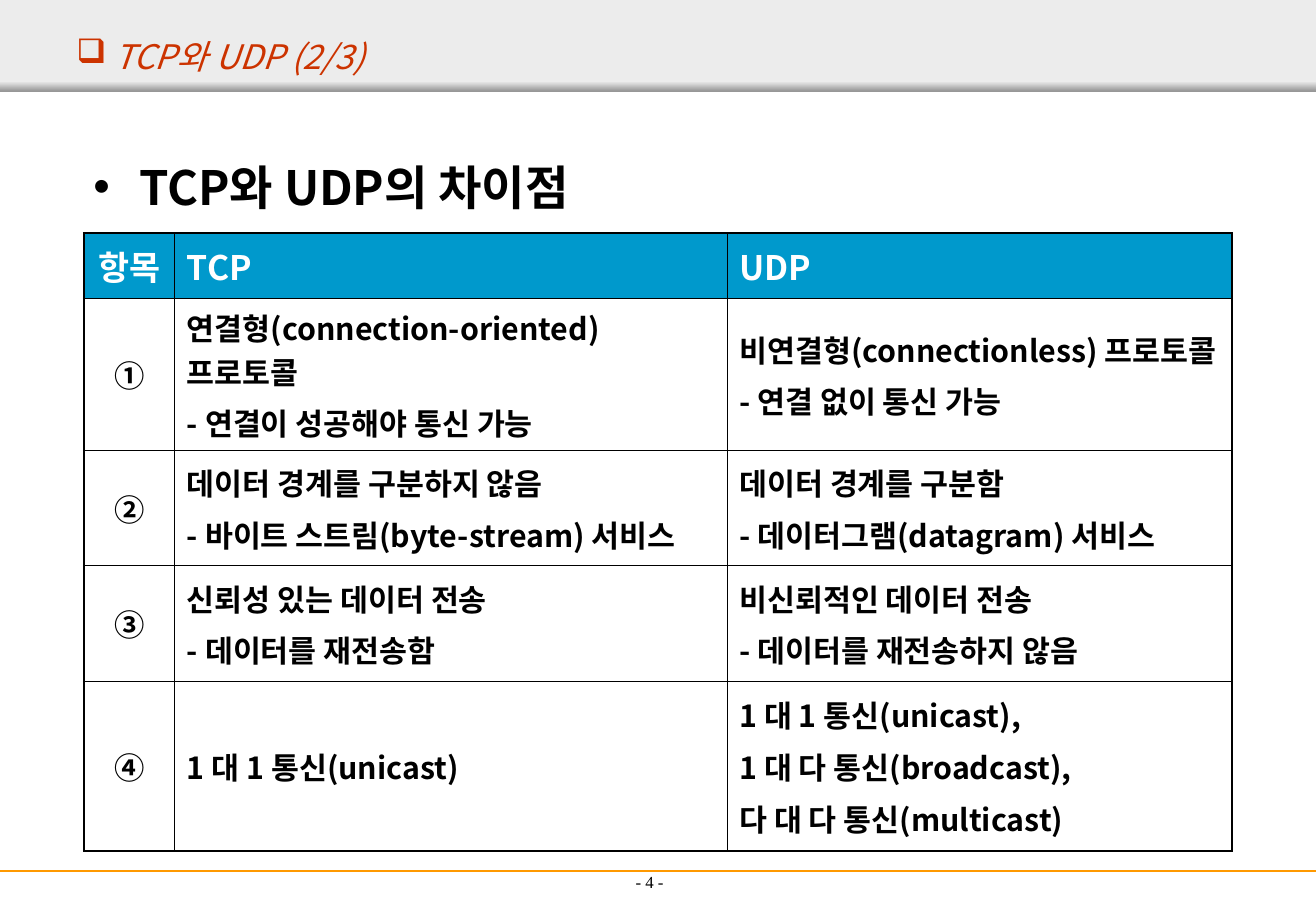
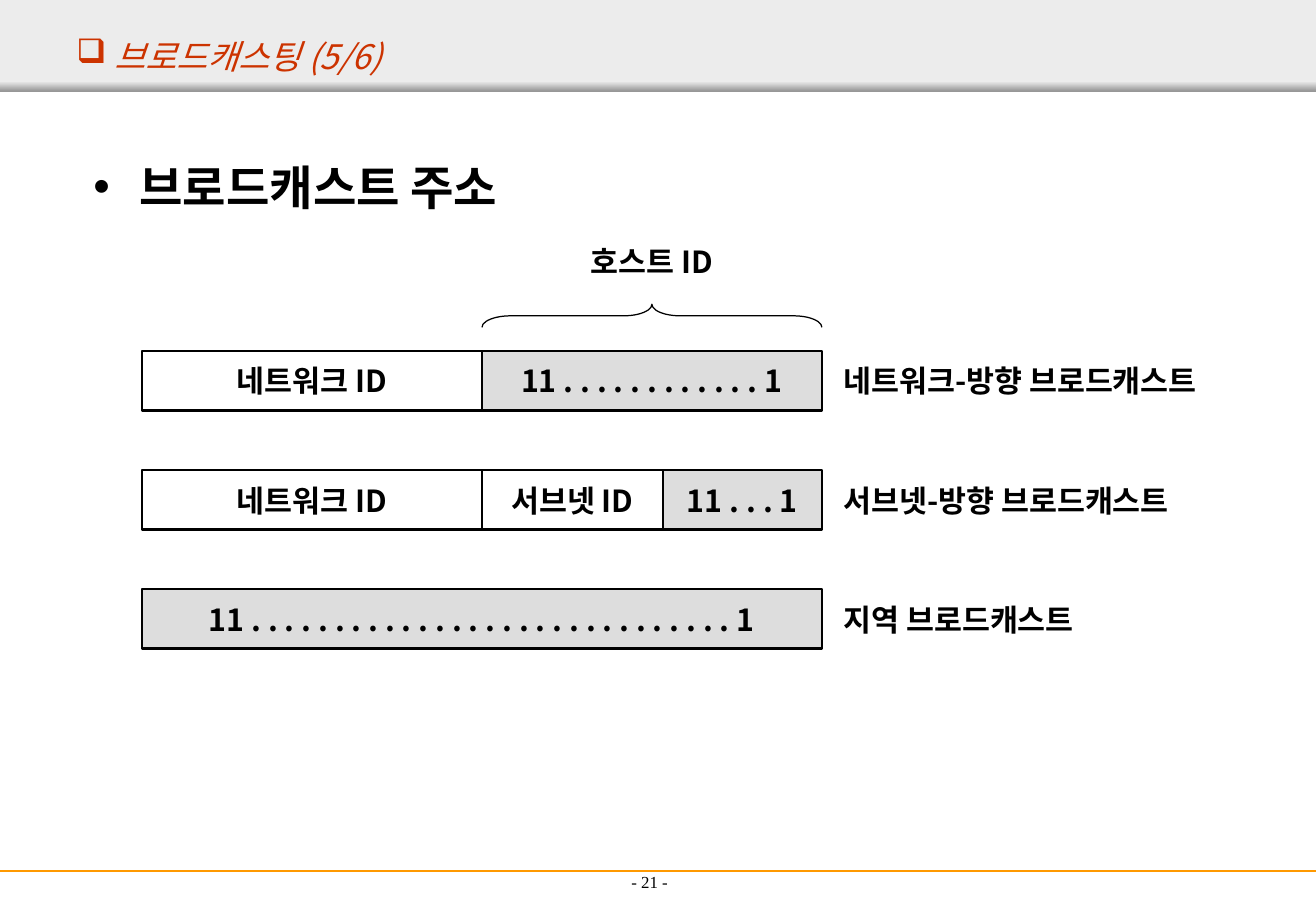
from itertools import pairwise

from lxml.etree import SubElement
from pptx import Presentation
from pptx.dml.color import RGBColor
from pptx.enum.shapes import MSO_CONNECTOR, MSO_SHAPE
from pptx.enum.text import MSO_ANCHOR, MSO_AUTO_SIZE, PP_ALIGN
from pptx.oxml.ns import qn
from pptx.util import Inches, Pt

COLORS = {
    "ink": "000000", "paper": "FFFFFF", "title": "CC3300", "band": "ECECEC",
    "band_edge": "979797", "footer": "FF9900", "header": "0099CC", "ones": "DDDDDD",
}
SANS, SERIF = "Noto Sans CJK KR", "Times New Roman"
SLIDE_W, SLIDE_H = 10.84, 7.5

# Text formats
TITLE = {"color": "title", "size": 20, "italic": True, "bold": False}
HEADING = {"color": "ink", "size": 28, "bold": True}
COLUMN_HEAD = {"color": "paper", "size": 20, "bold": True}
LABEL = {"color": "ink", "size": 18, "bold": True}
PAGE = {"color": "ink", "size": 10, "name": SERIF}

# Comparison table
TABLE_AT = (0.69, 1.92)
COLUMN_WIDTHS = (0.75, 4.55, 4.16)
ROW_HEIGHTS = (0.54, 1.07, 0.95, 0.95, 1.4)
OUTER_LINE, INNER_LINE = 1.08, 0.45
COMPARISON = [
    ("항목", "TCP", "UDP"),
    ("①", "연결형(connection-oriented) 프로토콜\n- 연결이 성공해야 통신 가능",
     "비연결형(connectionless) 프로토콜\n- 연결 없이 통신 가능"),
    ("②", "데이터 경계를 구분하지 않음\n- 바이트 스트림(byte-stream) 서비스",
     "데이터 경계를 구분함\n- 데이터그램(datagram) 서비스"),
    ("③", "신뢰성 있는 데이터 전송\n- 데이터를 재전송함",
     "비신뢰적인 데이터 전송\n- 데이터를 재전송하지 않음"),
    ("④", "1 대 1 통신(unicast)",
     "1 대 1 통신(unicast),\n1 대 다 통신(broadcast),\n다 대 다 통신(multicast)"),
]

# Address diagram: field edges across, rows two field heights apart
START, HOST, SUBHOST, END = 1.17, 3.97, 5.46, 6.77
FIELD_TOP, FIELD_H = 2.89, 0.49
ROW_STEP = 2 * FIELD_H
NOTE_LEFT, NOTE_W = 6.85, 2.98
BRACE_H = 0.19
ADDRESSES = [
    ("네트워크-방향 브로드캐스트", (START, HOST, END),
     ("네트워크 ID", "11 " + ". " * 12 + "1")),
    ("서브넷-방향 브로드캐스트", (START, HOST, SUBHOST, END),
     ("네트워크 ID", "서브넷 ID", "11 " + ". " * 3 + "1")),
    ("지역 브로드캐스트", (START, END), ("11 " + ". " * 29 + "1",)),
]


def rgb(color):
    return RGBColor.from_string(COLORS[color])


def inches(*lengths):
    return [Inches(length) for length in lengths]


def place(shape, *box):
    for side, length in zip(("left", "top", "width", "height"), inches(*box)):
        setattr(shape, side, length)


def write(frame, text, style, align=PP_ALIGN.LEFT, before=0):
    """Fill a text frame, one paragraph a line."""
    frame.text = text
    for paragraph in frame.paragraphs:
        paragraph.alignment = align
        paragraph.space_before = Pt(before)
        for run in paragraph.runs:
            font_format = {"name": SANS, **style, "size": Pt(style["size"])}
            run.font.color.rgb = rgb(font_format.pop("color"))
            for attribute, value in font_format.items():
                setattr(run.font, attribute, value)
            SubElement(run.font._element, qn("a:ea"), typeface=run.font.name)


def set_frame(frame, anchor=MSO_ANCHOR.MIDDLE, wrap=False):
    settings = {"vertical_anchor": anchor, "word_wrap": wrap,
                "auto_size": MSO_AUTO_SIZE.NONE}
    for attribute, value in settings.items():
        setattr(frame, attribute, value)


def add_bullet(paragraph, mark, color, indent=0):
    properties = paragraph._p.get_or_add_pPr()
    properties.set("marL", str(Inches(indent)))
    properties.set("indent", str(-Inches(indent)))
    bullet_color = SubElement(properties, qn("a:buClr"))
    SubElement(bullet_color, qn("a:srgbClr"), val=COLORS[color])
    SubElement(properties, qn("a:buChar"), char=mark)


def add_label(slide, box, text, style=LABEL, align=PP_ALIGN.LEFT,
              anchor=MSO_ANCHOR.MIDDLE):
    frame = slide.shapes.add_textbox(*inches(*box)).text_frame
    set_frame(frame, anchor)
    write(frame, text, style, align)


def add_block(slide, kind, box, fill=None, line=None, weight=1.5):
    block = slide.shapes.add_shape(kind, *inches(*box))
    block.shadow.inherit = False
    if fill:
        block.fill.solid()
        block.fill.fore_color.rgb = rgb(fill)
    else:
        block.fill.background()
    if line:
        block.line.color.rgb = rgb(line)
        block.line.width = Pt(weight)
    else:
        block.line.fill.background()
    return block


def decorate_layout(layout, slide):
    """Draw the shared bands and footer rule, then move them to the layout."""
    band = add_block(slide, MSO_SHAPE.RECTANGLE, (0, 0, SLIDE_W, 0.75), "band")
    edge = add_block(slide, MSO_SHAPE.RECTANGLE, (0, 0.67, SLIDE_W, 0.08), "band")
    edge.fill.gradient()
    edge.fill.gradient_angle = 270
    for stop, color, position in zip(edge.fill.gradient_stops,
                                     ("band", "band_edge"), (0, 1)):
        stop.color.rgb = rgb(color)
        stop.position = position

    rule = slide.shapes.add_connector(MSO_CONNECTOR.STRAIGHT,
                                      *inches(0, 7.17, SLIDE_W, 7.17))
    rule.line.color.rgb = rgb("footer")
    rule.line.width = Pt(1.5)
    SubElement(rule._element.spPr, qn("a:effectLst"))

    for position, part in enumerate((band, edge, rule), start=2):
        layout.shapes.element.insert(position, part._element)


def add_page(deck, layout, title, heading, page):
    slide = deck.slides.add_slide(layout)
    title_box, heading_box = slide.shapes.title, slide.placeholders[1]

    place(title_box, 0.53, 0.25, 10.31, 0.42)
    set_frame(title_box.text_frame, wrap=True)
    write(title_box.text_frame, " " + title, TITLE)
    add_bullet(title_box.text_frame.paragraphs[0], "❑", "title")

    place(heading_box, 0.67, 1.25, 9.5, 5.44)
    set_frame(heading_box.text_frame, MSO_ANCHOR.TOP, wrap=True)
    write(heading_box.text_frame, heading, HEADING, before=7)
    add_bullet(heading_box.text_frame.paragraphs[0], "•", "ink", 0.38)

    add_label(slide, (3.69, 6.89, 3.32, 0.5), f"- {page} -", PAGE,
              PP_ALIGN.CENTER, MSO_ANCHOR.BOTTOM)
    return slide


def set_borders(cell, outer_sides):
    properties = cell._tc.get_or_add_tcPr()
    for side in "LRTB":
        weight = OUTER_LINE if side in outer_sides else INNER_LINE
        border = SubElement(properties, qn(f"a:ln{side}"), w=str(Pt(weight)))
        paint = SubElement(border, qn("a:solidFill"))
        SubElement(paint, qn("a:srgbClr"), val=COLORS["ink"])


def add_comparison(slide):
    row_count, column_count = len(ROW_HEIGHTS), len(COLUMN_WIDTHS)
    table = slide.shapes.add_table(
        row_count, column_count,
        *inches(*TABLE_AT, sum(COLUMN_WIDTHS), sum(ROW_HEIGHTS))).table
    table.first_row = table.horz_banding = False
    for column, width in zip(table.columns, COLUMN_WIDTHS):
        column.width = Inches(width)
    for row, height in zip(table.rows, ROW_HEIGHTS):
        row.height = Inches(height)

    for r, texts in enumerate(COMPARISON):
        for c, text in enumerate(texts):
            cell = table.cell(r, c)
            edges = {"L": c == 0, "R": c == column_count - 1,
                     "T": r == 0, "B": r == row_count - 1}
            set_borders(cell, [side for side, outer in edges.items() if outer])
            cell.vertical_anchor = MSO_ANCHOR.MIDDLE
            if r == 0:
                cell.fill.solid()
                cell.fill.fore_color.rgb = rgb("header")
            else:
                cell.fill.background()
            write(cell.text_frame, text, LABEL if r else COLUMN_HEAD,
                  PP_ALIGN.LEFT if c else PP_ALIGN.CENTER, 4.5 if r else 5)


def add_addresses(slide):
    # Host part label and brace
    add_label(slide, (4.33, FIELD_TOP - ROW_STEP, 2.08, FIELD_H), "호스트 ID",
              align=PP_ALIGN.CENTER)
    span, middle = END - HOST, (HOST + END) / 2
    brace = add_block(slide, MSO_SHAPE.LEFT_BRACE,
                      (middle - BRACE_H / 2, 2.6 - span / 2, BRACE_H, span),
                      line="ink", weight=0.75)
    brace.rotation = 90
    brace.adjustments[0] = 1.23

    # Address rows; the last field of each is all ones
    for row, (note, edges, fields) in enumerate(ADDRESSES):
        top = FIELD_TOP + row * ROW_STEP
        for (left, right), text in zip(pairwise(edges), fields):
            field = add_block(slide, MSO_SHAPE.RECTANGLE,
                              (left, top, right - left, FIELD_H),
                              "ones" if right == END else None, "ink")
            set_frame(field.text_frame)
            write(field.text_frame, text, LABEL, PP_ALIGN.CENTER)
        add_label(slide, (NOTE_LEFT, top, NOTE_W, FIELD_H), note)


def main():
    deck = Presentation()
    deck.slide_width, deck.slide_height = inches(SLIDE_W, SLIDE_H)
    layout = deck.slide_layouts[1]

    comparison = add_page(deck, layout, "TCP와 UDP (2/3)", "TCP와 UDP의 차이점", 4)
    decorate_layout(layout, comparison)
    add_comparison(comparison)

    addresses = add_page(deck, layout, "브로드캐스팅 (5/6)", "브로드캐스트 주소", 21)
    add_addresses(addresses)

    deck.save("out.pptx")


if __name__ == "__main__":
    main()
